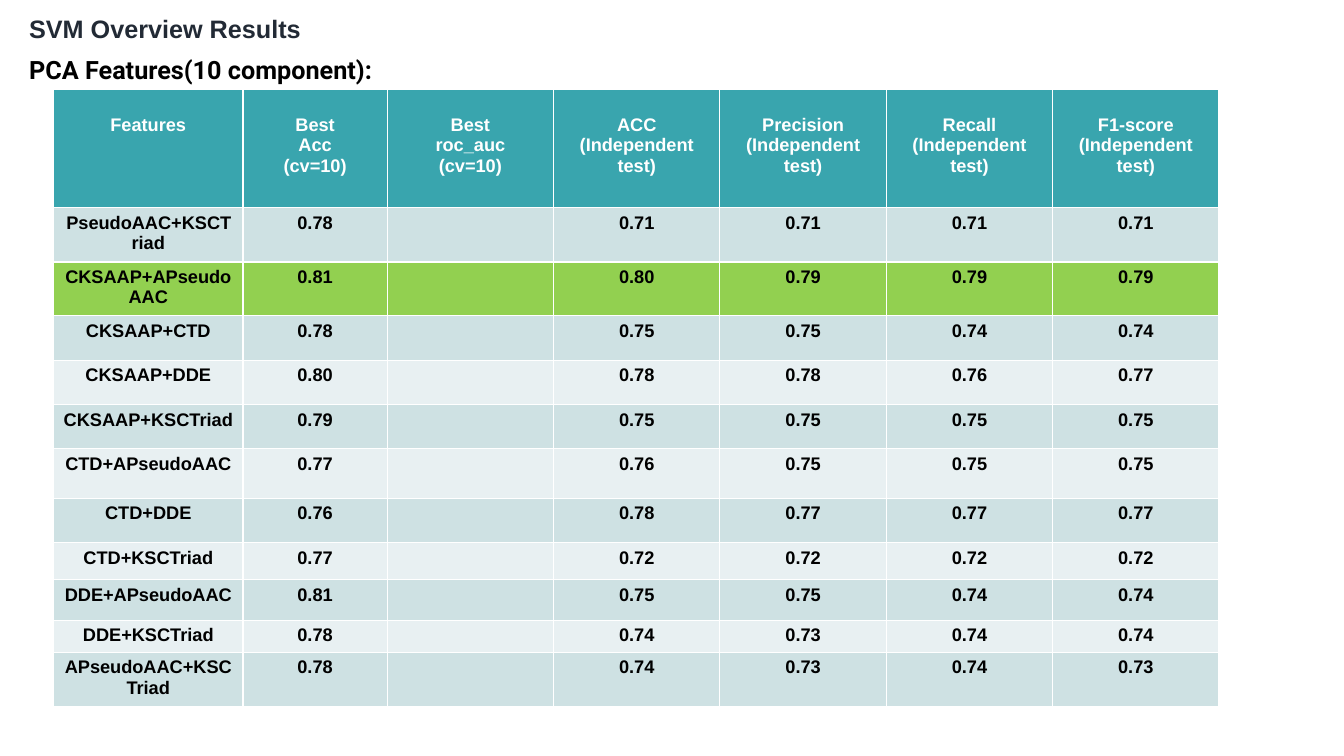
from lxml import etree
from pptx import Presentation
from pptx.dml.color import RGBColor
from pptx.enum import text
from pptx.oxml.ns import qn
from pptx.util import Inches, Pt

THEME = {
    "head_fill": "39A5AE", "band_fills": ("CEE1E3", "E8F0F2"), "best_fill": "92D050",
    "white": "FFFFFF", "black": "000000", "title": "222A35",
    "font": "Arial", "subtitle_font": "Roboto", "heading_size": 18, "table_size": 13,
}

# wording, (left, top, width, height), font, colour, alignment
HEADINGS = [
    ("SVM Overview Results", (0.19, 0.08, 9.45, 0.4),
     THEME["font"], THEME["title"], text.PP_ALIGN.LEFT),
    ("PCA Features(10 component):", (0.19, 0.49, 11.01, 0.4),
     THEME["subtitle_font"], THEME["black"], text.PP_ALIGN.JUSTIFY),
]

HEADER = ["Features", "Best\nAcc\n(cv=10)", "Best\nroc_auc\n(cv=10)"] + [
    f"{metric}\n(Independent test)" for metric in ("ACC", "Precision", "Recall", "F1-score")
]
# features, best accuracy, roc_auc, accuracy, precision, recall, F1
RESULTS = [
    ("PseudoAAC+KSCTriad", "0.78", "", "0.71", "0.71", "0.71", "0.71"),
    ("CKSAAP+APseudoAAC", "0.81", "", "0.80", "0.79", "0.79", "0.79"),
    ("CKSAAP+CTD", "0.78", "", "0.75", "0.75", "0.74", "0.74"),
    ("CKSAAP+DDE", "0.80", "", "0.78", "0.78", "0.76", "0.77"),
    ("CKSAAP+KSCTriad", "0.79", "", "0.75", "0.75", "0.75", "0.75"),
    ("CTD+APseudoAAC", "0.77", "", "0.76", "0.75", "0.75", "0.75"),
    ("CTD+DDE", "0.76", "", "0.78", "0.77", "0.77", "0.77"),
    ("CTD+KSCTriad", "0.77", "", "0.72", "0.72", "0.72", "0.72"),
    ("DDE+APseudoAAC", "0.81", "", "0.75", "0.75", "0.74", "0.74"),
    ("DDE+KSCTriad", "0.78", "", "0.74", "0.73", "0.74", "0.74"),
    ("APseudoAAC+KSCTriad", "0.78", "", "0.74", "0.73", "0.74", "0.73"),
]
BEST_FEATURES = "CKSAAP+APseudoAAC"
TABLE_LEFT, TABLE_TOP = 0.53, 0.89
COLUMN_WIDTHS = [1.88, 1.43] + [1.65] * 5
ROW_HEIGHTS = [1.17, 0.54, 0.53, 0.44, 0.44, 0.44, 0.49, 0.44, 0.37, 0.4, 0.32, 0.53]
HEADER_MARGIN = 0.25


def style_text(frame, font, size, colour, align):
    for para in frame.paragraphs:
        para.alignment = align
        para.font.name = font
        para.font.size = Pt(size)
        para.font.bold = True
        para.font.color.rgb = RGBColor.from_string(colour)


def add_heading(page, wording, place, font, colour, align):
    box = page.shapes.add_textbox(*map(Inches, place))
    frame = box.text_frame
    frame.word_wrap = True
    frame.text = wording
    style_text(frame, font, THEME["heading_size"], colour, align)


def fill_cell(cell, wording, fill, colour):
    cell.fill.solid()
    cell.fill.fore_color.rgb = RGBColor.from_string(fill)
    frame = cell.text_frame
    frame.text = wording
    style_text(frame, THEME["font"], THEME["table_size"], colour, text.PP_ALIGN.CENTER)
    if not wording:
        # an empty cell takes its line height from the end-of-paragraph size
        end = etree.SubElement(frame.paragraphs[0]._p, qn("a:endParaRPr"))
        end.set("sz", str(THEME["table_size"] * 100))


def row_fill(index, features):
    if index == 0:
        return THEME["head_fill"]
    if features == BEST_FEATURES:
        return THEME["best_fill"]
    return THEME["band_fills"][(index - 1) % 2]


def add_results(page):
    rows = [HEADER, *RESULTS]
    place = (TABLE_LEFT, TABLE_TOP, sum(COLUMN_WIDTHS), sum(ROW_HEIGHTS))
    table = page.shapes.add_table(len(rows), len(HEADER), *map(Inches, place)).table
    for column, width in zip(table.columns, COLUMN_WIDTHS):
        column.width = Inches(width)
    for index, (row, height, wordings) in enumerate(zip(table.rows, ROW_HEIGHTS, rows)):
        row.height = Inches(height)
        fill = row_fill(index, wordings[0])
        colour = THEME["black"] if index else THEME["white"]
        for cell, wording in zip(row.cells, wordings):
            fill_cell(cell, wording, fill, colour)
            if index == 0:
                cell.margin_top = Inches(HEADER_MARGIN)


def main():
    deck = Presentation()
    deck.slide_width, deck.slide_height = Inches(13.33), Inches(7.5)
    page = deck.slides.add_slide(deck.slide_layouts[6])
    for heading in HEADINGS:
        add_heading(page, *heading)
    add_results(page)
    deck.save("out.pptx")


if __name__ == "__main__":
    main()
